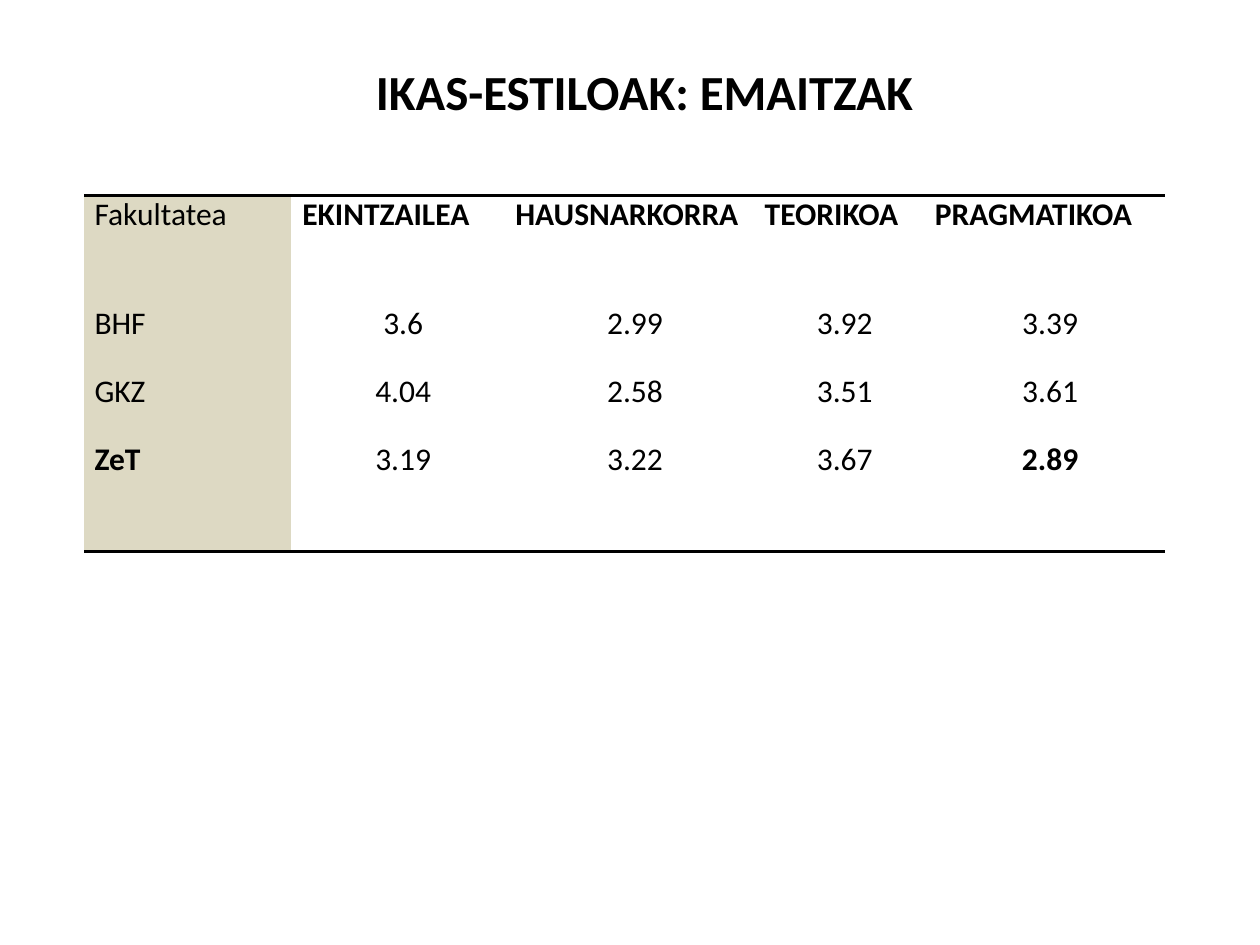
from pptx import Presentation
from pptx.dml.color import RGBColor
from pptx.enum.text import MSO_AUTO_SIZE, PP_ALIGN
from pptx.oxml import parse_xml
from pptx.oxml.ns import nsdecls
from pptx.util import Inches, Pt

COLORS = {"text": "000000", "rule": "000000", "faculty": "DDD9C3", "score": "FFFFFF"}
NO_STYLE = "{2D5ABB26-0587-4C30-8999-92F81FD0307C}"
COL_WIDTHS = [1.64, 1.69, 1.99, 1.35, 1.91]
ROW_HEIGHTS = [0.87, 0.54, 0.54, 0.88]
INDENTS = [0.08, 0.09, 0.09, 0.08, 0.08]
SPACE_BEFORE = [0, 6.3, 6.6, 6.6]
RESULTS = [
    ["Fakultatea", "EKINTZAILEA", "HAUSNARKORRA", "TEORIKOA", "PRAGMATIKOA"],
    ["BHF", "3.6", "2.99", "3.92", "3.39"],
    ["GKZ", "4.04", "2.58", "3.51", "3.61"],
    ["ZeT", "3.19", "3.22", "3.67", "2.89"],
]
BOLD = set(RESULTS[0][1:]) | {"ZeT", "2.89"}


def apply(obj, values):
    for name, value in values.items():
        setattr(obj, name, value)


class Deck:
    font = "Calibri"
    no_margins = dict.fromkeys(
        ["margin_left", "margin_top", "margin_right", "margin_bottom"], 0)

    def __init__(self, width, height):
        self.prs = Presentation()
        apply(self.prs, {"slide_width": Inches(width), "slide_height": Inches(height)})
        self.s = self.prs.slides.add_slide(self.prs.slide_layouts[6])

    def text(self, tf, text, size, bold, align):
        p = tf.paragraphs[0]
        p.alignment = align
        r = p.add_run()
        r.text = text
        apply(r.font, {"name": self.font, "size": Pt(size), "bold": bold})
        r.font.color.rgb = RGBColor.from_string(COLORS["text"])
        return p

    def title(self, text, *box):
        tf = self.s.shapes.add_textbox(*map(Inches, box)).text_frame
        apply(tf, {"word_wrap": True, "auto_size": MSO_AUTO_SIZE.SHAPE_TO_FIT_TEXT})
        self.text(tf, text, 28, True, PP_ALIGN.CENTER)

    def rule(self, cell, side):
        ln = parse_xml(
            f'<a:ln{side} {nsdecls("a")} w="{Pt(2)}"><a:solidFill>'
            f'<a:srgbClr val="{COLORS["rule"]}"/></a:solidFill></a:ln{side}>')
        cell._tc.get_or_add_tcPr().insert(0, ln)

    def table(self, left, top, rows):
        frame = self.s.shapes.add_table(
            len(rows), len(COL_WIDTHS), Inches(left), Inches(top),
            Inches(sum(COL_WIDTHS)), Inches(sum(ROW_HEIGHTS)))
        table = frame.table
        apply(table, {"first_row": False, "horz_banding": False})
        table._tbl.tblPr.find("{*}tableStyleId").text = NO_STYLE
        for col, width in zip(table.columns, COL_WIDTHS):
            col.width = Inches(width)
        for i, row in enumerate(rows):
            table.rows[i].height = Inches(ROW_HEIGHTS[i])
            for j, text in enumerate(row):
                self.cell(table.cell(i, j), text, i, j)
                if i == 0:
                    self.rule(table.cell(i, j), "T")
                elif i == len(rows) - 1:
                    self.rule(table.cell(i, j), "B")

    def cell(self, cell, text, i, j):
        apply(cell, self.no_margins)
        cell.fill.solid()
        cell.fill.fore_color.rgb = RGBColor.from_string(
            COLORS["score" if j else "faculty"])
        align = PP_ALIGN.CENTER if i and j else PP_ALIGN.LEFT
        p = self.text(cell.text_frame, text, 18, text in BOLD, align)
        p.space_before = Pt(SPACE_BEFORE[i])
        p._p.get_or_add_pPr().set("marL", str(Inches(INDENTS[j])))


def main():
    deck = Deck(10, 7.5)
    deck.title("IKAS-ESTILOAK: EMAITZAK", 0.43, 0.44, 9.37, 0.57)
    deck.table(0.67, 1.55, RESULTS)
    deck.prs.save("out.pptx")


if __name__ == "__main__":
    main()
